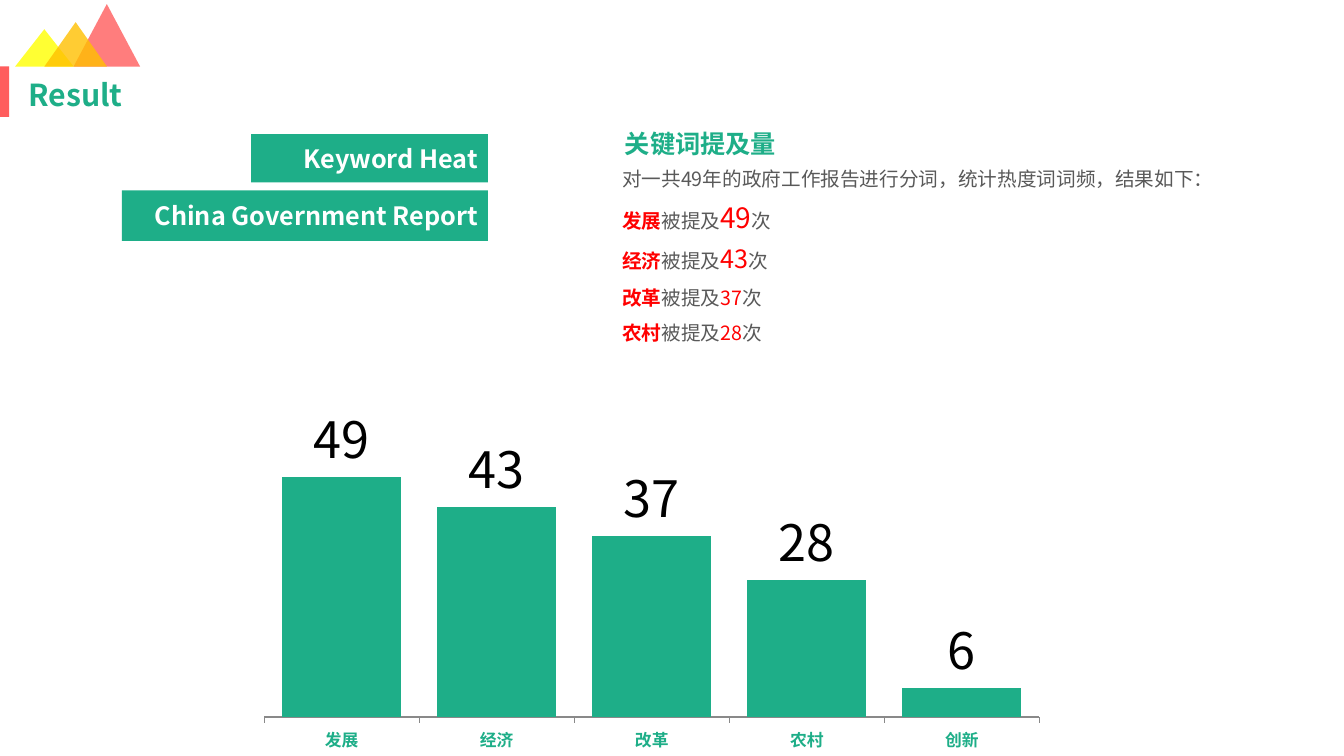
from lxml import etree
from pptx import Presentation
from pptx.chart.data import CategoryChartData
from pptx.dml.color import RGBColor
from pptx.enum.chart import XL_CHART_TYPE as CHART, XL_LABEL_POSITION as LABEL
from pptx.enum.chart import XL_TICK_LABEL_POSITION as TICK_LABEL, XL_TICK_MARK as TICK
from pptx.enum.shapes import MSO_SHAPE as SHAPE
from pptx.enum.text import MSO_ANCHOR as ANCHOR, MSO_AUTO_SIZE as AUTO, PP_ALIGN as ALIGN
from pptx.oxml import parse_xml
from pptx.oxml.ns import nsdecls, qn
from pptx.util import Inches, Pt

COLORS = {
    "green": "1EAE88", "coral": "FF5D5D", "yellow": "FFFF00", "amber": "FFC000",
    "red": "FF0000", "gray": "595959", "axis": "898989", "black": "000000", "white": "FFFFFF",
}
SANS = "Noto Sans CJK SC"
KEYWORDS = {"发展": 49, "经济": 43, "改革": 37, "农村": 28, "创新": 6}


def rgb(name):
    return RGBColor.from_string(COLORS[name])


def style_font(font, size, color, bold=False, name=SANS):
    """Set Latin and East Asian typefaces together with size and colour."""
    font.name, font.size, font.bold = name, Pt(size), bold
    font.color.rgb = rgb(color)
    latin = font._element.find(qn("a:latin"))
    latin.addnext(parse_xml(f'<a:ea {nsdecls("a")} typeface="{SANS}"/>'))


def add_run(p, text, size, color, bold=False, name=SANS):
    r = p.add_run()
    r.text = text
    style_font(r.font, size, color, bold, name)


def add_block(slide, box, color, kind=SHAPE.RECTANGLE, alpha=None):
    sp = slide.shapes.add_shape(kind, *map(Inches, box))
    sp.shadow.inherit = False
    sp.fill.solid()
    sp.fill.fore_color.rgb = rgb(color)
    sp.line.fill.background()
    if alpha:
        clr = sp.fill._xPr.find(qn("a:solidFill"))[0]
        etree.SubElement(clr, qn("a:alpha"), val=str(alpha * 1000))
    return sp


def add_textbox(slide, box, inset_x, inset_y):
    tf = slide.shapes.add_textbox(*map(Inches, box)).text_frame
    tf.word_wrap = True
    tf.auto_size = AUTO.SHAPE_TO_FIT_TEXT
    tf.margin_left = tf.margin_right = Inches(inset_x)
    tf.margin_top = tf.margin_bottom = Inches(inset_y)
    return tf


def add_header(slide, left, base):
    """Mountains standing on base, with the marker and title below."""
    for dx, width, height, color in [(0.73, 0.66, 0.62, "coral"),
                                     (0.15, 0.58, 0.37, "yellow"),
                                     (0.44, 0.62, 0.44, "amber")]:
        add_block(slide, (left + dx, base - height, width, height), color,
                  SHAPE.ISOSCELES_TRIANGLE, 80)
    add_block(slide, (left, base, 0.09, 0.5), "coral")
    title = slide.shapes.title
    title.left, title.top = Inches(left + 0.18), Inches(base + 0.07)
    title.width, title.height = Inches(1.19), Inches(0.46)
    tf = title.text_frame
    tf.vertical_anchor = ANCHOR.MIDDLE
    tf.auto_size = AUTO.NONE
    p = tf.paragraphs[0]
    p.alignment, p.line_spacing = ALIGN.LEFT, 0.9
    add_run(p, "Result", 21.6, "green", True)


def add_banners(slide, right, top):
    """Two banners that share their right edge."""
    for text, dy, width, height in [("Keyword Heat", 0, 2.35, 0.48),
                                    ("China Government Report", 0.56, 3.63, 0.5)]:
        sp = add_block(slide, (right - width, top + dy, width, height), "green")
        tf = sp.text_frame
        tf.vertical_anchor = ANCHOR.MIDDLE
        p = tf.paragraphs[0]
        p.alignment = ALIGN.RIGHT
        add_run(p, text, 18, "white", True)


def add_summary(slide, left, top):
    tf = add_textbox(slide, (left, top + 0.33, 6.43, 1.92), 0.07, 0.04)
    p = tf.paragraphs[0]
    p.line_spacing = 1.3
    add_run(p, "对一共49年的政府工作报告进行分词，统计热度词词频，结果如下：", 14, "gray")
    sizes, spacings = (20, 18, 14, 14), (1.3, 1.3, 1.5, 1.5)
    for (word, count), size, spacing in zip(KEYWORDS.items(), sizes, spacings):
        p = tf.add_paragraph()
        p.line_spacing = spacing
        add_run(p, word, 14, "red", True)
        add_run(p, "被提及", 14, "gray")
        add_run(p, str(count), size, "red")
        add_run(p, "次", 14, "gray")
    tf = add_textbox(slide, (left, top, 2.53, 0.4), 0.1, 0.05)
    add_run(tf.paragraphs[0], "关键词提及量", 18, "green", True, "TeX Gyre Adventor")


def set_plot_area(chart, x, y, w, h):
    """Fix the inner plot area as fractions of the chart."""
    area = chart._chartSpace.chart.plotArea
    for old in area.findall(qn("c:layout")):
        area.remove(old)
    sizes = "".join(f'<c:{k} val="{v}"/>' for k, v in zip("xywh", (x, y, w, h)))
    area.insert(0, parse_xml(
        f'<c:layout {nsdecls("c")}><c:manualLayout><c:layoutTarget val="inner"/>'
        f'<c:xMode val="edge"/><c:yMode val="edge"/>{sizes}</c:manualLayout></c:layout>'))


def add_keyword_chart(slide, box):
    data = CategoryChartData()
    data.categories = list(KEYWORDS)
    data.add_series("Series 1", list(KEYWORDS.values()))
    chart = slide.shapes.add_chart(CHART.COLUMN_CLUSTERED, *map(Inches, box), data).chart
    chart.has_legend = chart.has_title = False
    style_font(chart.font, 10, "black", name="Calibri")
    set_plot_area(chart, 0.02, 0.06, 0.96, 0.83)

    plot = chart.plots[0]
    plot.vary_by_categories = False
    plot.gap_width, plot.overlap = 30, 35
    fill = plot.series[0].format.fill
    fill.solid()
    fill.fore_color.rgb = rgb("green")
    plot.has_data_labels = True
    labels = plot.data_labels
    labels.show_value, labels.position = True, LABEL.OUTSIDE_END
    style_font(labels.font, 36, "black")

    values = chart.value_axis
    values.minimum_scale, values.maximum_scale = 0, 60
    values.has_major_gridlines = values.visible = False
    words = chart.category_axis
    words.has_major_gridlines = False
    words.major_tick_mark = TICK.OUTSIDE
    words.tick_label_position = TICK_LABEL.NEXT_TO_AXIS
    words.format.line.color.rgb = rgb("axis")
    words.format.line.width = Pt(0.75)
    style_font(words.tick_labels.font, 12, "green", True, "Calibri")


def main():
    prs = Presentation()
    prs.slide_width, prs.slide_height = Inches(13.33), Inches(7.5)
    slide = prs.slides.add_slide(prs.slide_layouts[5])
    add_header(slide, 0, 0.66)
    add_keyword_chart(slide, (2.46, 3.97, 8.01, 3.53))
    add_summary(slide, 6.1, 1.22)
    add_banners(slide, 4.84, 1.33)
    prs.save("out.pptx")


if __name__ == "__main__":
    main()
